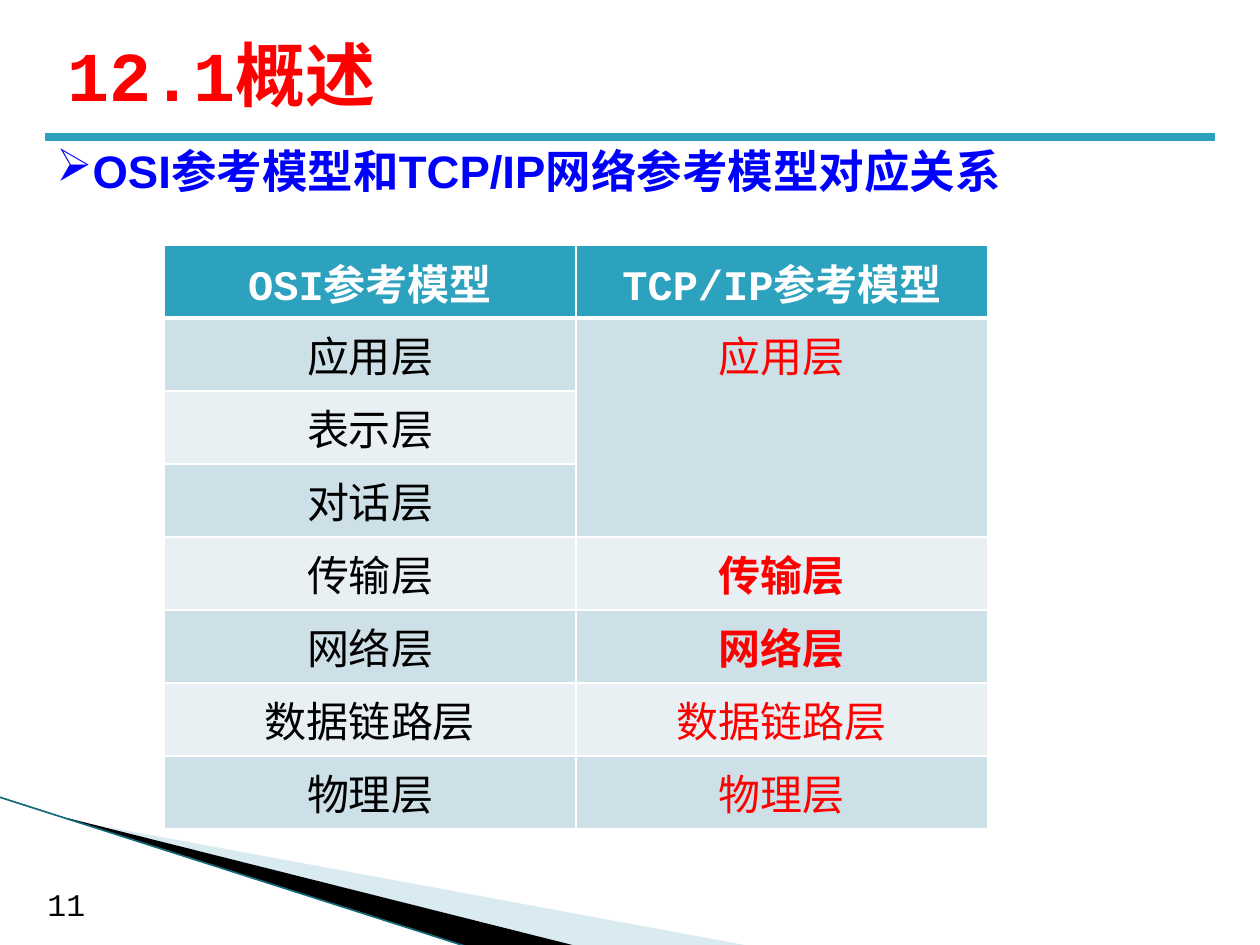
from dataclasses import dataclass

from lxml.etree import SubElement
from pptx import Presentation
from pptx.dml.color import RGBColor
from pptx.enum.shapes import MSO_CONNECTOR
from pptx.enum.text import MSO_ANCHOR, PP_ALIGN
from pptx.oxml.ns import qn
from pptx.util import Pt

SCALE = 914400 / 126


@dataclass(frozen=True)
class Theme:
    black: str = "000000"
    white: str = "FFFFFF"
    red: str = "FF0000"
    blue: str = "0000FF"
    teal: str = "2DA2BF"
    dark_teal: str = "16697A"
    wedge: str = "A0CBDC"
    bands: tuple = ("CDE0E8", "E8F0F4")
    mono: str = "Courier New"
    sans: str = "Arial"
    title: int = 40
    body: int = 26
    cell: int = 24
    number: int = 18


def px(n):
    return round(n * SCALE)


def rgb(color):
    return RGBColor.from_string(color)


class SlideBuilder:
    """Draws styled elements on the current slide."""

    def __init__(self, slide, theme):
        self.s = slide
        self.theme = theme

    def style(self, p, size, color, bold=False, font=None):
        p.font.size = Pt(size)
        p.font.bold = bold
        p.font.name = font or self.theme.mono
        p.font.color.rgb = rgb(color)

    def text(self, box, text, size, color, bold=False, font=None,
             anchor=MSO_ANCHOR.TOP, bullet=None, space=0):
        tf = self.s.shapes.add_textbox(*map(px, box)).text_frame
        tf.word_wrap = True
        tf.vertical_anchor = anchor
        p = tf.paragraphs[0]
        p.text = text
        p.space_after = Pt(space)
        if bullet:
            SubElement(p._p.get_or_add_pPr(), qn("a:buChar"), char=bullet)
        self.style(p, size, color, bold, font)

    def polygon(self, points, color, alpha=None):
        fb = self.s.shapes.build_freeform(*points[0], scale=SCALE)
        fb.add_line_segments(points[1:], close=True)
        sp = fb.convert_to_shape()
        sp.shadow.inherit = False
        sp.line.fill.background()
        sp.fill.solid()
        sp.fill.fore_color.rgb = rgb(color)
        if alpha:
            clr = sp._element.spPr.find(qn("a:solidFill"))[0]
            SubElement(clr, qn("a:alpha"), val=str(alpha * 1000))

    def line(self, start, end, color, width):
        cx = self.s.shapes.add_connector(
            MSO_CONNECTOR.STRAIGHT, *map(px, start + end))
        cx.line.color.rgb = rgb(color)
        cx.line.width = Pt(width)
        SubElement(cx._element.spPr, qn("a:effectLst"))

    def borders(self, cell, color, **widths):
        tc_pr = cell._tc.get_or_add_tcPr()
        for side in "LRTB":
            ln = SubElement(tc_pr, qn(f"a:ln{side}"),
                            w=str(Pt(widths.get(side, 1))))
            SubElement(SubElement(ln, qn("a:solidFill")),
                       qn("a:srgbClr"), val=color)

    def table(self, box, rows, merge, bold_rows):
        t = self.theme
        tbl = self.s.shapes.add_table(
            len(rows), len(rows[0]), *map(px, box)).table
        first, last = merge
        tbl.cell(*first).merge(tbl.cell(*last))
        for i, row in enumerate(rows):
            for j, text in enumerate(row):
                cell = tbl.cell(i, j)
                if cell.is_spanned:
                    continue
                self.borders(cell, t.white, T=3 if i == 1 else 1,
                             B=3 if i == 0 else 1)
                cell.fill.solid()
                cell.fill.fore_color.rgb = rgb(
                    t.bands[(i - 1) % 2] if i else t.teal)
                p = cell.text_frame.paragraphs[0]
                p.text = text
                p.alignment = PP_ALIGN.CENTER
                color = (t.black, t.red)[j] if i else t.white
                bold = i == 0 or (j == 1 and i in bold_rows)
                self.style(p, t.cell, color, bold)


def main():
    prs = Presentation()
    prs.slide_width, prs.slide_height = px(1260), px(945)
    t = Theme()
    b = SlideBuilder(prs.slides.add_slide(prs.slide_layouts[6]), t)

    b.polygon([(69, 820), (750, 946), (575, 946), (69, 819)], t.wedge, alpha=40)
    b.polygon([(67, 818), (576, 946), (469, 947), (68, 819)], t.black)
    b.line((-1, 797), (468, 947), t.dark_teal, 0.95)
    b.line((45, 137), (1215, 137), t.teal, 4.5)

    b.text((35, 879, 69, 50), "11", t.number, t.black)
    b.text((55, 20, 1134, 107), "12.1概述", t.title, t.red, bold=True,
           anchor=MSO_ANCHOR.MIDDLE)
    rows = [
        ("OSI参考模型", "TCP/IP参考模型"),
        ("应用层", "应用层"),
        ("表示层", ""),
        ("对话层", ""),
        ("传输层", "传输层"),
        ("网络层", "网络层"),
        ("数据链路层", "数据链路层"),
        ("物理层", "物理层"),
    ]
    b.table((164, 245, 824, 584), rows, merge=((1, 1), (3, 1)),
            bold_rows=(4, 5))
    b.text((44, 137, 1171, 68), "OSI参考模型和TCP/IP网络参考模型对应关系",
           t.body, t.blue, bold=True, font=t.sans, bullet="➢", space=3)
    prs.save("out.pptx")


if __name__ == "__main__":
    main()
